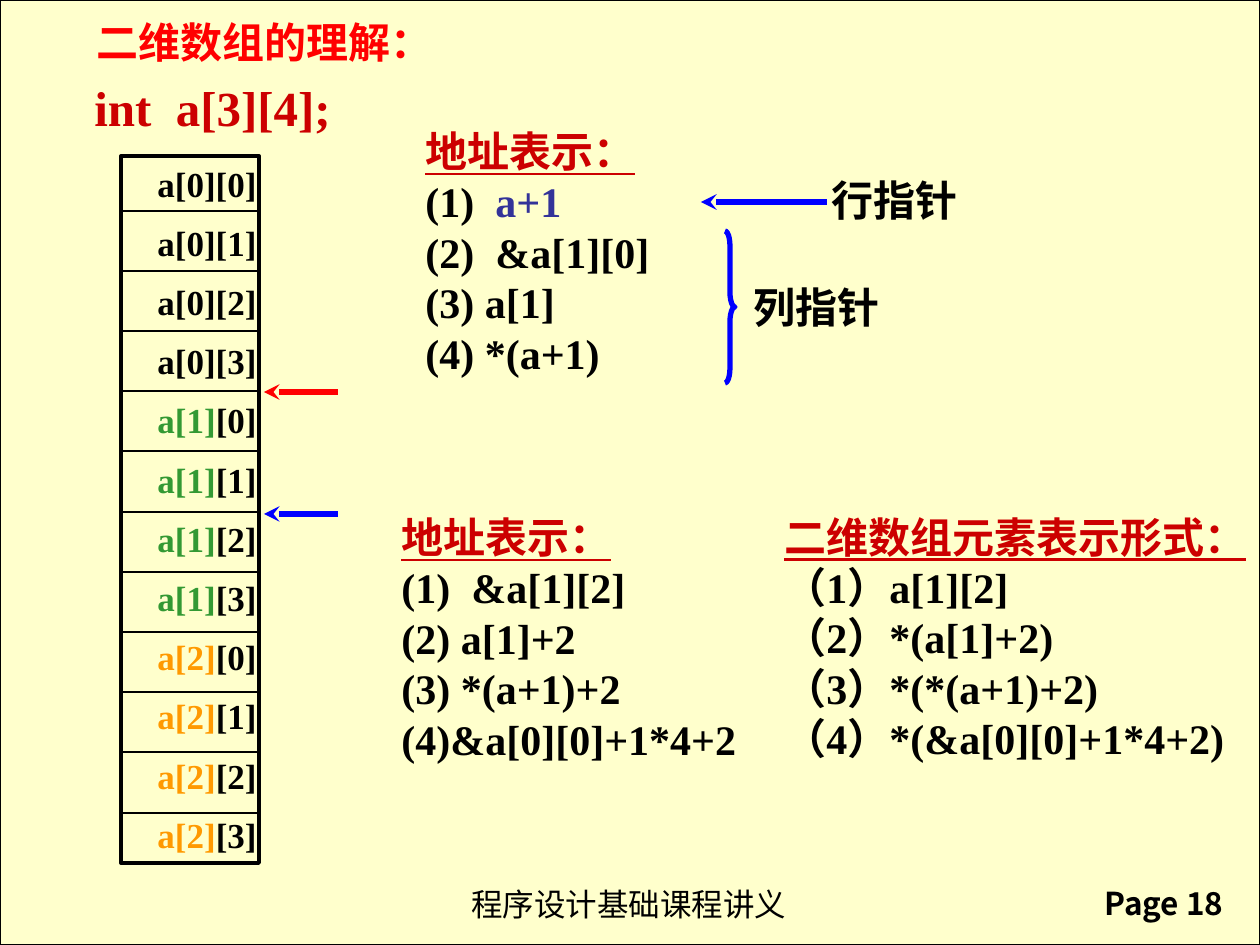
from dataclasses import dataclass

from lxml.etree import SubElement
from pptx import Presentation
from pptx.dml.color import RGBColor
from pptx.enum.shapes import MSO_CONNECTOR, MSO_SHAPE
from pptx.enum.text import MSO_ANCHOR, MSO_AUTO_SIZE, PP_ALIGN
from pptx.oxml.ns import qn
from pptx.util import Emu, Pt

EMU_PER_PX = 914400 / 126
SERIF = "Times New Roman"
CJK = "Noto Sans CJK SC"
COLORS = {
    "paper": "FFFFCC", "black": "000000", "crimson": "CC0000", "red": "FF0000",
    "blue": "0000FF", "indigo": "333399", "green": "339933", "orange": "FF9900",
}


@dataclass(frozen=True)
class Run:
    text: str
    color: str = "black"
    underline: bool = False


@dataclass(frozen=True)
class Label:
    x: int
    y: int
    w: int
    h: int
    lines: list[list[Run]]
    size: int = 24
    font: str = SERIF
    bold: bool = True
    wrap: bool = False
    anchor: MSO_ANCHOR = MSO_ANCHOR.TOP
    align: PP_ALIGN = PP_ALIGN.LEFT


@dataclass(frozen=True)
class Line:
    x1: int
    y1: int
    x2: int
    y2: int
    color: str = "black"
    width: float = 0.75
    arrow: bool = False


def px(n: int) -> Emu:
    return Emu(round(n * EMU_PER_PX))


def rgb(name: str) -> RGBColor:
    return RGBColor.from_string(COLORS[name])


def plain(*texts: str) -> list[list[Run]]:
    return [[Run(text)] for text in texts]


def heading(text: str) -> list[Run]:
    return [Run(text, "crimson", True)]


def draw_label(s, label: Label) -> None:
    sp = s.shapes.add_textbox(px(label.x), px(label.y), px(label.w), px(label.h))
    tf = sp.text_frame
    tf.word_wrap = label.wrap
    tf.auto_size = MSO_AUTO_SIZE.NONE if label.wrap else MSO_AUTO_SIZE.SHAPE_TO_FIT_TEXT
    tf.vertical_anchor = label.anchor
    for i, line in enumerate(label.lines):
        p = tf.add_paragraph() if i else tf.paragraphs[0]
        p.alignment = label.align
        for run in line:
            r = p.add_run()
            r.text = run.text
            r.font.size = Pt(label.size)
            r.font.name = label.font
            r.font.bold = label.bold
            r.font.underline = run.underline
            r.font.color.rgb = rgb(run.color)
            SubElement(r.font._element, qn("a:ea"), typeface=CJK)


def draw_line(s, line: Line) -> None:
    sp = s.shapes.add_connector(
        MSO_CONNECTOR.STRAIGHT, px(line.x1), px(line.y1), px(line.x2), px(line.y2))
    sp.line.color.rgb = rgb(line.color)
    sp.line.width = Pt(line.width)
    if line.arrow:
        SubElement(sp.line._get_or_add_ln(), qn("a:tailEnd"), type="stealth")
    SubElement(sp._element.spPr, qn("a:effectLst"))


def draw_shape(s, kind: MSO_SHAPE, x: int, y: int, w: int, h: int,
               color: str, width: float, fill: str = ""):
    sp = s.shapes.add_shape(kind, px(x), px(y), px(w), px(h))
    sp.shadow.inherit = False
    if fill:
        sp.fill.solid()
        sp.fill.fore_color.rgb = rgb(fill)
    else:
        sp.fill.background()
    sp.line.color.rgb = rgb(color)
    sp.line.width = Pt(width)
    return sp


def draw_memory(s, rows: int = 3, cols: int = 4) -> None:
    draw_shape(s, MSO_SHAPE.RECTANGLE, 121, 156, 138, 707, "black", 2.25)
    row_colors = ["black", "green", "orange"]
    for i in range(rows * cols):
        row, col = divmod(i, cols)
        if i:
            y = 211 + 602 * (i - 1) // 10
            draw_line(s, Line(122, y, 260, y))
        runs = [Run(f"a[{row}]", row_colors[row]), Run(f"[{col}]")]
        draw_label(s, Label(145, 156 + 592 * i // 10, 125, 54, [runs], size=20))


LABELS = [
    Label(459, 879, 344, 50, plain("程序设计基础课程讲义"), 18, "Arial", False),
    Label(1092, 878, 161, 50, plain("Page 18"), 18, CJK, wrap=True),
    Label(82, 71, 263, 72, [[Run("int  a[3][4];", "crimson")]], 28),
    Label(84, 10, 397, 63, [[Run("二维数组的理解：", "red")]], wrap=True),
    Label(413, 118, 251, 267, [
        heading("地址表示："),
        [Run("(1)  "), Run("a+1", "indigo")],
        *plain("(2)  &a[1][0]", "(3) a[1]", "(4) *(a+1)"),
    ], anchor=MSO_ANCHOR.MIDDLE),
    Label(389, 504, 363, 267, [
        heading("地址表示："),
        *plain("(1)  &a[1][2]", "(2) a[1]+2", "(3) *(a+1)+2", "(4)&a[0][0]+1*4+2"),
    ], anchor=MSO_ANCHOR.MIDDLE),
    Label(772, 505, 491, 267, [
        heading("二维数组元素表示形式："),
        *plain("（1）a[1][2]", "（2）*(a[1]+2)", "（3）*(*(a+1)+2)",
               "（4）*(&a[0][0]+1*4+2)"),
    ], wrap=True),
    Label(819, 168, 152, 64, plain("行指针"),
          anchor=MSO_ANCHOR.MIDDLE, align=PP_ALIGN.CENTER),
    Label(741, 275, 152, 64, plain("列指针"),
          anchor=MSO_ANCHOR.MIDDLE, align=PP_ALIGN.CENTER),
]

ARROWS = [
    Line(338, 392, 264, 392, "red", 3, True),
    Line(338, 514, 264, 514, "blue", 3, True),
    Line(827, 202, 701, 202, "blue", 3, True),
]


def main() -> None:
    prs = Presentation()
    prs.slide_width, prs.slide_height = px(1260), px(945)
    s = prs.slides.add_slide(prs.slide_layouts[6])
    draw_shape(s, MSO_SHAPE.RECTANGLE, 0, 0, 1260, 945, "black", 0.75, "paper")
    draw_memory(s)
    for label in LABELS:
        draw_label(s, label)
    for arrow in ARROWS:
        draw_line(s, arrow)
    brace = draw_shape(s, MSO_SHAPE.RIGHT_BRACE, 725, 231, 10, 152, "blue", 3)
    brace.adjustments[0] = 1.46
    prs.save("out.pptx")


if __name__ == "__main__":
    main()
